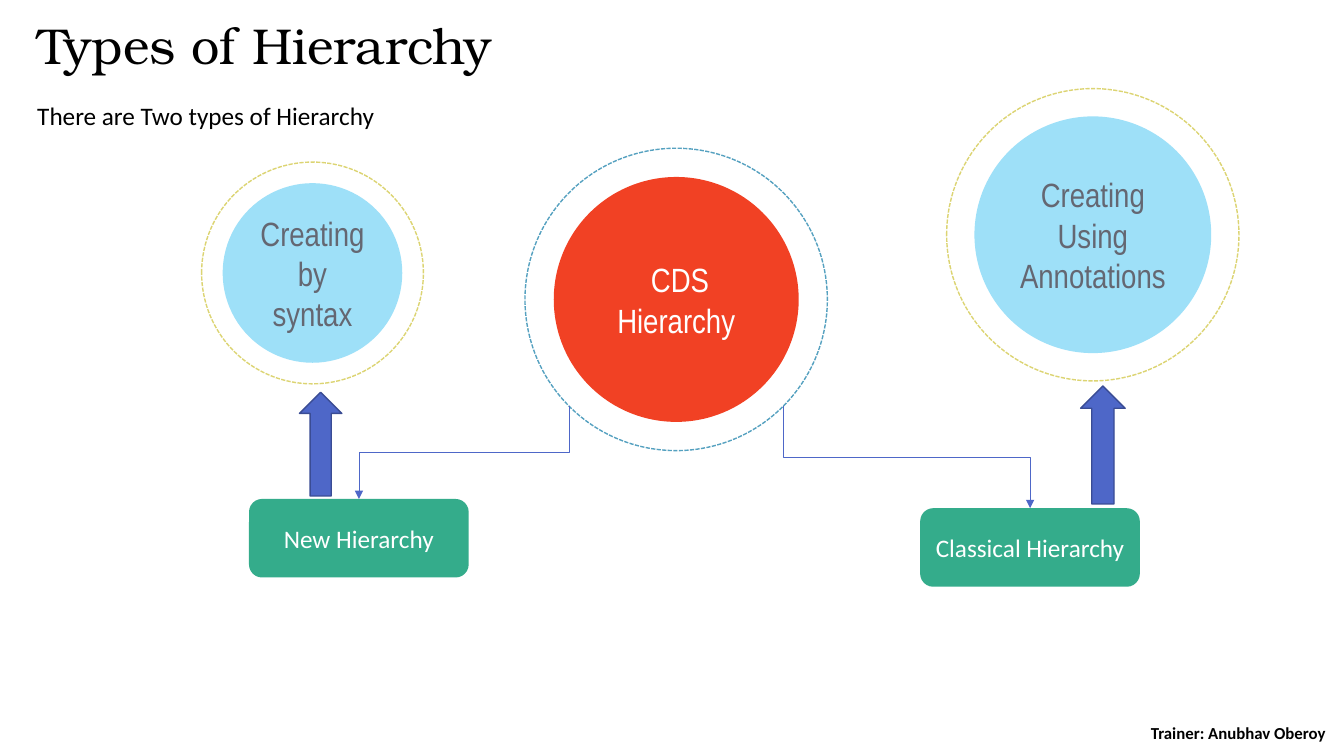
from dataclasses import dataclass
from math import sqrt

from lxml.etree import SubElement
from pptx import Presentation
from pptx.dml.color import RGBColor
from pptx.enum.dml import MSO_LINE_DASH_STYLE as Dash
from pptx.enum.shapes import MSO_CONNECTOR as Link, MSO_SHAPE as Preset
from pptx.enum.text import MSO_ANCHOR as Anchor, PP_ALIGN as Align
from pptx.oxml.ns import qn
from pptx.util import Emu, Inches, Pt

COLORS = {
    "black": "000000", "white": "FFFFFF", "red": "F14124", "sky": "9EE0F8",
    "grey": "646772", "green": "34AC8B", "blue": "4E67C8", "navy": "3A4C94",
    "teal ring": "55A1C0", "yellow ring": "DCD472",
}
WIDTH, HEIGHT = Inches(13.33), Inches(7.5)
COLUMNS, ROWS = 32, 18
DISC_SHARE = 0.81  # disc diameter as a share of its ring
BOX_WIDTH, BOX_HEIGHT = 5.23, 1.87

# Text formats: font attributes, then paragraph and frame settings
FORMATS = {
    "title": dict(font=dict(name="TeX Gyre Bonum", size=Pt(36), bold=False),
                  paragraph=dict(alignment=Align.LEFT, line_spacing=0.9),
                  frame=dict(vertical_anchor=Anchor.TOP)),
    "lead": dict(font=dict(name="Calibri", size=Pt(18)),
                 paragraph=dict(alignment=Align.LEFT),
                 frame=dict(vertical_anchor=Anchor.TOP)),
    "trainer": dict(font=dict(name="Calibri", size=Pt(12), bold=True),
                    paragraph=dict(alignment=Align.CENTER),
                    frame=dict(vertical_anchor=Anchor.MIDDLE)),
    "disc": dict(font=dict(name="Arial Narrow", size=Pt(24)),
                 paragraph=dict(alignment=Align.CENTER),
                 frame=dict(vertical_anchor=Anchor.MIDDLE,
                            margin_top=Inches(0.08), margin_bottom=Inches(0.08))),
    "box": dict(font=dict(name="Calibri", size=Pt(18)),
                paragraph=dict(alignment=Align.CENTER),
                frame=dict(vertical_anchor=Anchor.MIDDLE,
                           margin_top=Inches(0.08), margin_bottom=Inches(0.08))),
}


@dataclass(frozen=True)
class Area:
    left: float
    top: float
    width: float
    height: float

    def emu(self) -> tuple[Emu, Emu, Emu, Emu]:
        return (column(self.left), row(self.top),
                column(self.width), row(self.height))


@dataclass(frozen=True)
class Circle:
    text: str
    x: float
    y: float
    diameter: float
    ring: str
    fill: str
    ink: str

    def area(self, share: float = 1) -> Area:
        size = self.diameter * share
        return Area(self.x - size / 2, self.y - size / 2, size, size)


@dataclass(frozen=True)
class Branch:
    text: str
    left: float
    top: float
    side: int  # -1 leaves the hub on the left, 1 on the right
    arrow: Area


HUB = Circle(" CDS Hierarchy", 16.1, 7.13, 7.2, "teal ring", "red", "white")
CIRCLES = [
    HUB,
    Circle("Creating Using Annotations", 26.02, 5.59, 6.96, "yellow ring", "sky", "grey"),
    Circle("Creating by syntax", 7.44, 6.5, 5.28, "yellow ring", "sky", "grey"),
]
BRANCHES = [
    Branch("New Hierarchy", 5.93, 11.88, -1, Area(7.13, 9.34, 1.01, 2.47)),
    Branch("Classical Hierarchy", 21.91, 12.1, 1, Area(25.73, 9.19, 1.06, 2.81)),
]


def column(count: float) -> Emu:
    return Emu(round(WIDTH * count / COLUMNS))


def row(count: float) -> Emu:
    return Emu(round(HEIGHT * count / ROWS))


def color(name: str) -> RGBColor:
    return RGBColor.from_string(COLORS[name])


def write(holder, text: str, style: str, ink: str = "black") -> None:
    frame = holder.text_frame
    frame.word_wrap = True
    frame.text = text
    paragraph = frame.paragraphs[0]
    font = paragraph.runs[0].font
    targets = {"font": font, "paragraph": paragraph, "frame": frame}
    for part, values in FORMATS[style].items():
        for attribute, value in values.items():
            setattr(targets[part], attribute, value)
    font.color.rgb = color(ink)


def draw(slide, preset: Preset, area: Area, fill: str = "", line: str = ""):
    figure = slide.shapes.add_shape(preset, *area.emu())
    figure.shadow.inherit = False
    if fill:
        figure.fill.solid()
        figure.fill.fore_color.rgb = color(fill)
    else:
        figure.fill.background()
    if line:
        figure.line.color.rgb = color(line)
        figure.line.width = Pt(1)
    else:
        figure.line.fill.background()
    return figure


def draw_circle(slide, circle: Circle) -> None:
    ring = draw(slide, Preset.OVAL, circle.area(), line=circle.ring)
    ring.line.dash_style = Dash.SQUARE_DOT
    disc = draw(slide, Preset.OVAL, circle.area(DISC_SHARE), fill=circle.fill)
    write(disc, circle.text, "disc", circle.ink)


def draw_link(slide, branch: Branch) -> None:
    # Leave the hub ring at 45 degrees, enter the box at its top centre
    reach = HUB.diameter / 2 / sqrt(2)
    x1, y1 = column(HUB.x + branch.side * reach), row(HUB.y + reach)
    x2, y2 = column(branch.left + BOX_WIDTH / 2), row(branch.top)
    # A quarter turn about the middle makes the elbow start vertically
    middle_x, middle_y = (x1 + x2) // 2, (y1 + y2) // 2
    half_x, half_y = branch.side * (y2 - y1) // 2, abs(x2 - x1) // 2
    link = slide.shapes.add_connector(
        Link.ELBOW, Emu(middle_x + half_x), Emu(middle_y - half_y),
        Emu(middle_x - half_x), Emu(middle_y + half_y))
    if branch.side < 0:
        turn = 90
    else:
        turn = 270
    link.line.color.rgb = color("blue")
    link.line.width = Pt(0.5)
    properties = link._element.spPr
    properties.find(qn("a:xfrm")).set("rot", str(turn * 60000))
    SubElement(properties.find(qn("a:ln")), qn("a:tailEnd"), type="triangle")
    SubElement(properties, qn("a:effectLst"))


def draw_branch(slide, branch: Branch) -> None:
    area = Area(branch.left, branch.top, BOX_WIDTH, BOX_HEIGHT)
    box = draw(slide, Preset.ROUNDED_RECTANGLE, area, fill="green")
    write(box, branch.text, "box", "white")
    draw_link(slide, branch)
    draw(slide, Preset.UP_ARROW, branch.arrow, fill="blue", line="navy")


def main() -> None:
    deck = Presentation()
    deck.slide_width, deck.slide_height = WIDTH, HEIGHT
    slide = deck.slides.add_slide(deck.slide_layouts.get_by_name("Title Only"))

    # Title
    title = slide.shapes.title
    title.left, title.top, title.width, title.height = Area(0.65, 0.38, 29.64, 1.87).emu()
    write(title, "Types of Hierarchy", "title")

    # Lead sentence and trainer line
    lead = slide.shapes.add_textbox(*Area(0.65, 2.26, 11.14, 0.96).emu())
    write(lead, "There are Two types of Hierarchy", "lead")
    trainer = slide.shapes.add_textbox(*Area(26.57, 17.18, 5.83, 0.53).emu())
    write(trainer, "Trainer: Anubhav Oberoy", "trainer")

    # Hub with its two kinds of hierarchy
    for circle in CIRCLES:
        draw_circle(slide, circle)
    for branch in BRANCHES:
        draw_branch(slide, branch)

    deck.save("out.pptx")


if __name__ == "__main__":
    main()
